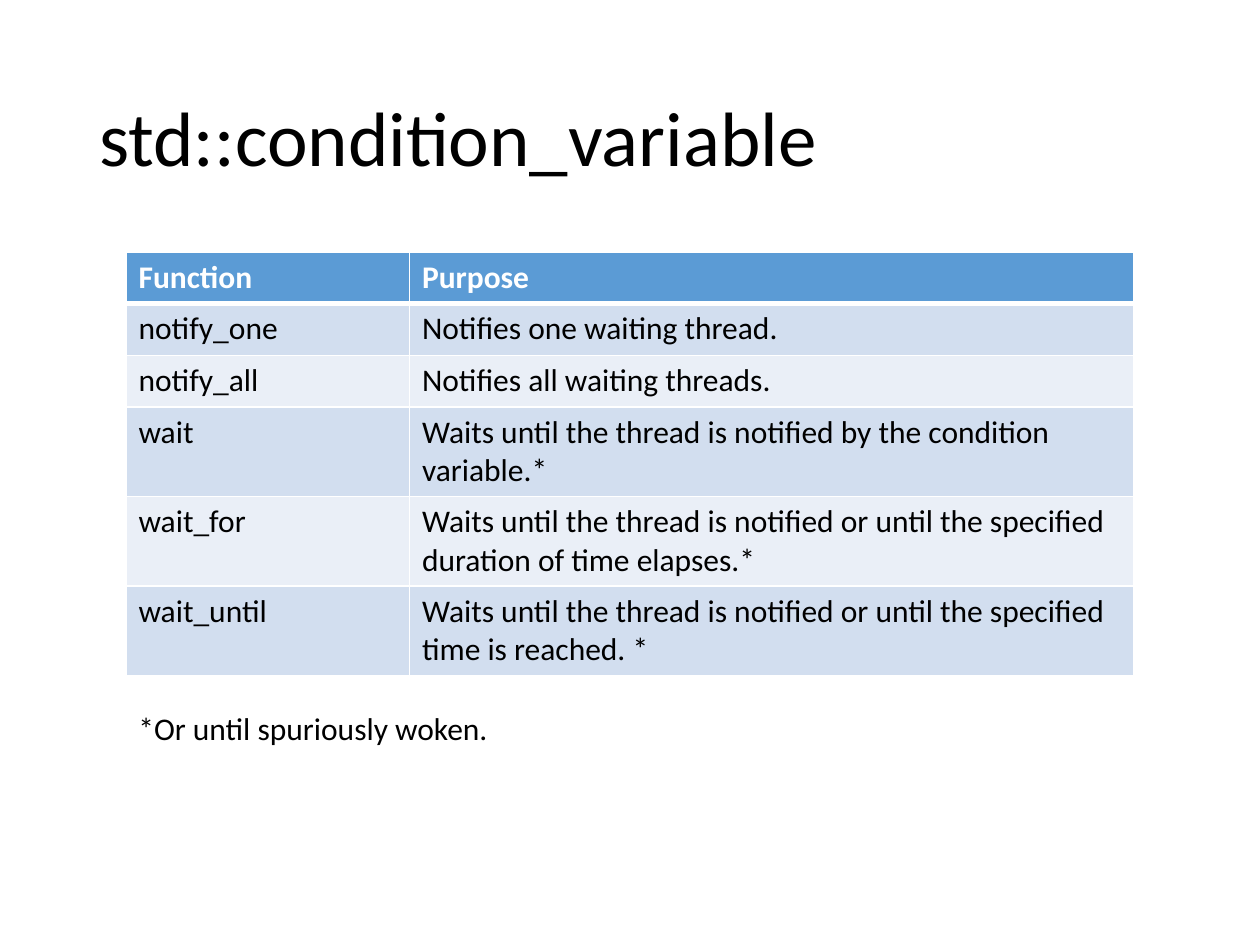
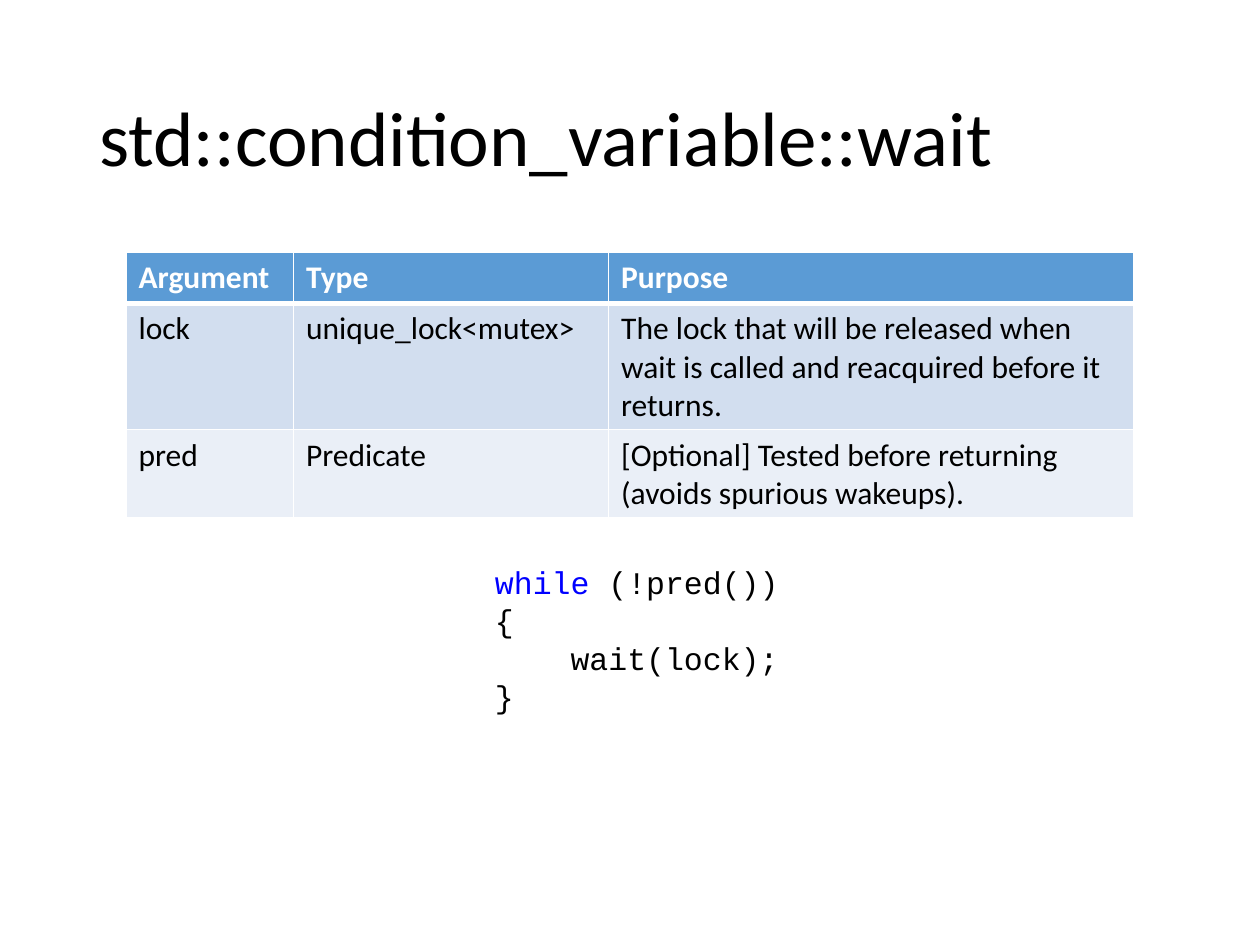
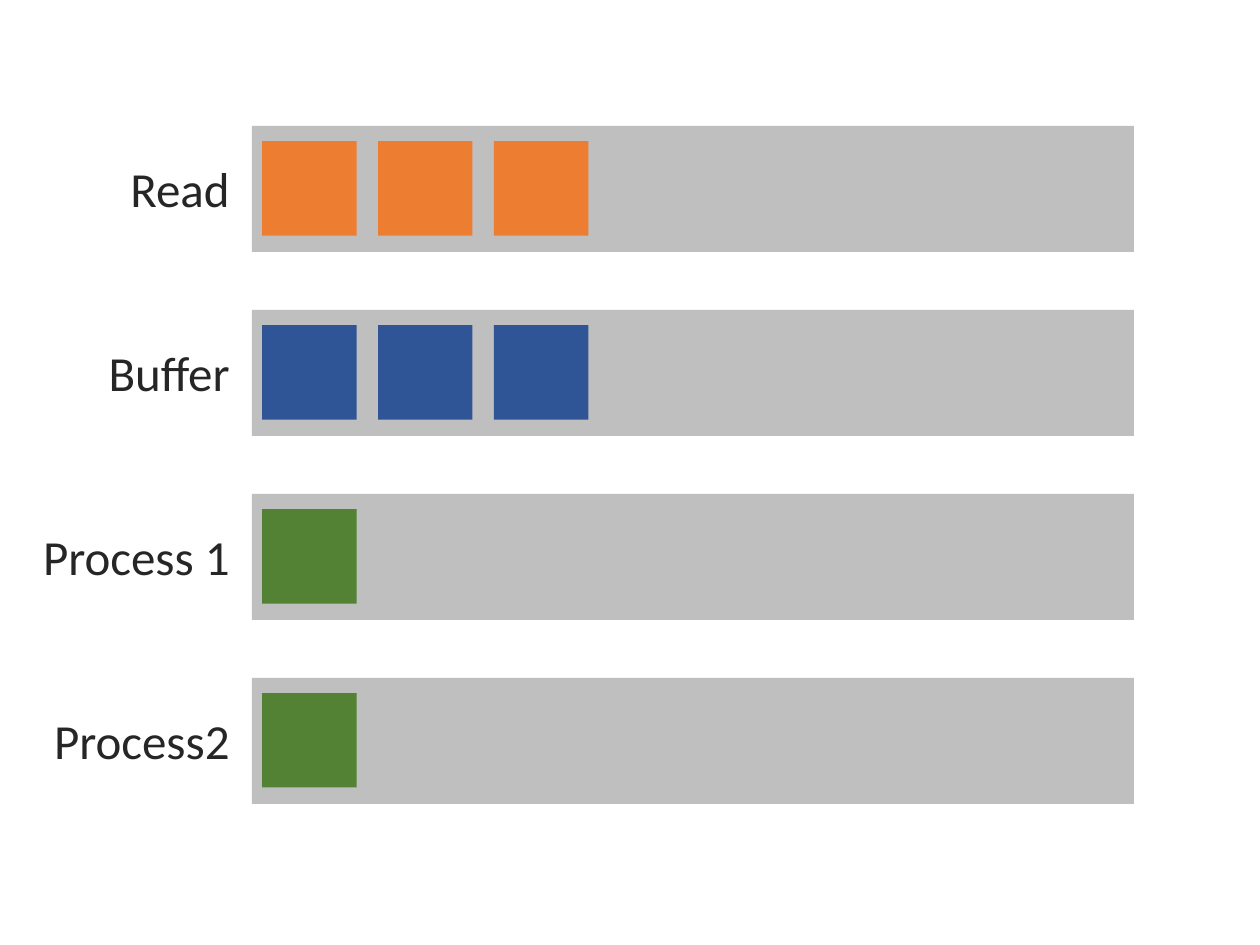
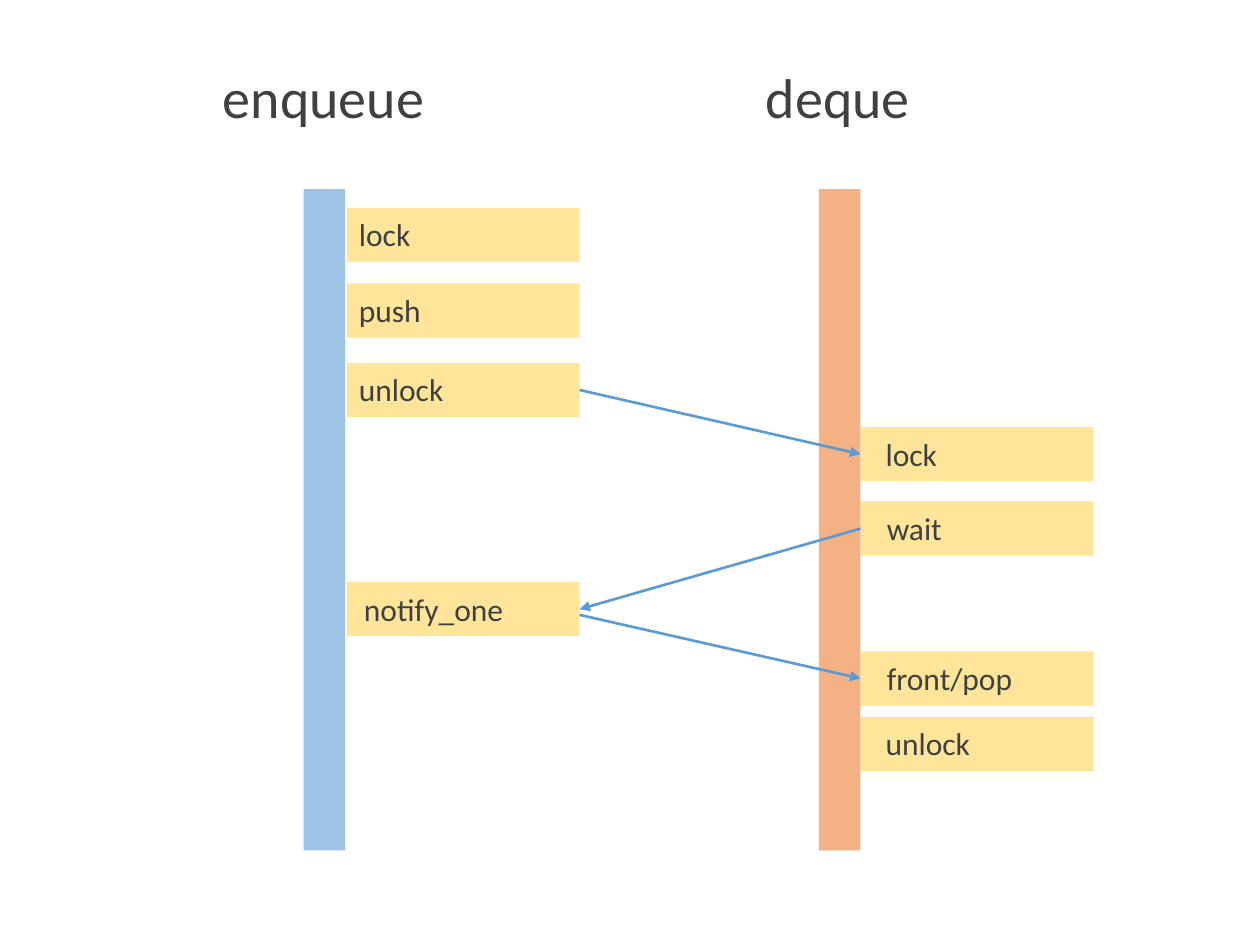
from pptx import Presentation
from pptx.dml.color import RGBColor
from pptx.enum.shapes import MSO_CONNECTOR, MSO_SHAPE
from pptx.enum.text import MSO_ANCHOR, MSO_AUTO_SIZE, PP_ALIGN
from pptx.oxml import parse_xml
from pptx.oxml.ns import nsdecls, qn
from pptx.util import Inches, Pt

BODY_FONT, CODE_FONT = "Calibri", "Courier New"
BLACK, WHITE = "000000", "FFFFFF"
BLUE = "5B9BD5"
ROW_FILLS = ("D2DEEF", "EAEFF7")
CODE_KEYWORD = "0000FF"
TRACK, TRACK_LABEL = "BFBFBF", "262626"
READ, BUFFER, PROCESS = "ED7D31", "2F5597", "548235"
STEP, STEP_LABEL = "FFC000", "404040"
ENQUEUE_LANE, DEQUE_LANE = "9DC3E6", "F4B183"

TOP, LEFT, BOTTOM, RIGHT = range(4)
ROW_HEIGHT = 0.41
STEP_WIDTH, STEP_HEIGHT = 1.85, 0.43


def color(hex_string):
    return RGBColor.from_string(hex_string)


def add_slide(presentation):
    return presentation.slides.add_slide(presentation.slide_layouts[6])


def write_text(frame, text, size=18, fill=BLACK, font=BODY_FONT, bold=False,
               align=PP_ALIGN.LEFT, line_spacing=None, keyword=None):
    """Write one paragraph per line; a leading keyword gets its own colour."""
    for index, line in enumerate(text.split("\n")):
        paragraph = frame.paragraphs[0] if index == 0 else frame.add_paragraph()
        paragraph.alignment = align
        if line_spacing:
            paragraph.line_spacing = line_spacing
        runs = [(line, fill)]
        if keyword and line.startswith(keyword):
            runs = [(keyword, CODE_KEYWORD), (line[len(keyword):], fill)]
        for words, run_color in runs:
            run = paragraph.add_run()
            run.text = words
            run.font.name, run.font.size, run.font.bold = font, Pt(size), bold
            run.font.color.rgb = color(run_color)


def add_text(slide, text, left, top, width, height, wrap=True,
             anchor=MSO_ANCHOR.TOP, auto_size=MSO_AUTO_SIZE.SHAPE_TO_FIT_TEXT,
             **text_format):
    box = slide.shapes.add_textbox(Inches(left), Inches(top), Inches(width), Inches(height))
    frame = box.text_frame
    frame.word_wrap = wrap
    frame.vertical_anchor = anchor
    frame.auto_size = auto_size
    write_text(frame, text, **text_format)


def add_title(slide, text):
    add_text(slide, text, 0.69, 0.4, 8.62, 1.45, anchor=MSO_ANCHOR.MIDDLE,
             auto_size=MSO_AUTO_SIZE.NONE, size=44, line_spacing=0.9)


def add_rectangle(slide, fill, left, top, width, height, opacity=None):
    shape = slide.shapes.add_shape(MSO_SHAPE.RECTANGLE, Inches(left), Inches(top),
                                   Inches(width), Inches(height))
    shape.shadow.inherit = False
    shape.fill.solid()
    shape.fill.fore_color.rgb = color(fill)
    shape.line.fill.background()
    if opacity is not None:
        fill_color = shape._element.spPr.find(qn("a:solidFill")).find(qn("a:srgbClr"))
        fill_color.append(parse_xml(f'<a:alpha {nsdecls("a")} val="{opacity * 1000}"/>'))
    return shape


def set_borders(cell, top=1, bottom=1):
    properties = cell._tc.get_or_add_tcPr()
    for side, width in (("L", 1), ("R", 1), ("T", top), ("B", bottom)):
        properties.append(parse_xml(
            f'<a:ln{side} {nsdecls("a")} w="{Pt(width)}"><a:solidFill>'
            f'<a:srgbClr val="{WHITE}"/></a:solidFill></a:ln{side}>'))


def add_table(slide, rows, column_widths, height):
    """Add a banded table whose rows grow with their text to the given height."""
    frame = slide.shapes.add_table(len(rows), len(column_widths), Inches(1), Inches(2),
                                   Inches(sum(column_widths)), Inches(height))
    table = frame.table
    for column, width in zip(table.columns, column_widths):
        column.width = Inches(width)
    for row_index, texts in enumerate(rows):
        table.rows[row_index].height = Inches(ROW_HEIGHT)
        header = row_index == 0
        for column_index, text in enumerate(texts):
            cell = table.cell(row_index, column_index)
            set_borders(cell, top=3 if row_index == 1 else 1, bottom=3 if header else 1)
            cell.fill.solid()
            cell.fill.fore_color.rgb = color(BLUE if header else ROW_FILLS[(row_index - 1) % 2])
            write_text(cell.text_frame, text, fill=WHITE if header else BLACK, bold=header)
    frame.height = Inches(height)


def add_arrow(slide, start, end, start_shape=None, end_shape=None):
    """Draw an arrow; each given shape is a (shape, side) pair to join."""
    connector = slide.shapes.add_connector(MSO_CONNECTOR.STRAIGHT,
                                           *(Inches(value) for value in start + end))
    if start_shape:
        connector.begin_connect(*start_shape)
    if end_shape:
        connector.end_connect(*end_shape)
    connector.line.color.rgb = color(BLUE)
    connector.line.width = Pt(1.5)
    connector.line._get_or_add_ln().append(
        parse_xml(f'<a:tailEnd {nsdecls("a")} type="triangle"/>'))
    connector._element.spPr.append(parse_xml(f'<a:effectLst {nsdecls("a")}/>'))


def add_track(slide, label, label_left, top, block_color, block_count):
    add_rectangle(slide, TRACK, 2, top, 7, 1)
    add_text(slide, label, label_left, top + 0.21, 1.92 - label_left, 0.57,
             size=28, fill=TRACK_LABEL, align=PP_ALIGN.RIGHT)
    for index in range(block_count):
        add_rectangle(slide, block_color, 2.08 + 0.92 * index, top + 0.12, 0.75, 0.75)


def add_step(slide, label, left, top, label_left, label_width):
    step = add_rectangle(slide, STEP, left, top, STEP_WIDTH, STEP_HEIGHT, opacity=40)
    add_text(slide, label, label_left, top + 0.01, label_width, 0.4,
             wrap=False, fill=STEP_LABEL)
    return step


def add_lane(slide, name, name_left, name_width, lane_color, lane_left):
    add_rectangle(slide, lane_color, lane_left, 1.5, 0.33, 5.25)
    add_text(slide, name, name_left, 0.45, name_width, 0.64,
             wrap=False, size=32, fill=STEP_LABEL)


def build_functions_slide(presentation):
    slide = add_slide(presentation)
    add_title(slide, "std::condition_variable")
    add_table(slide, [
        ("Function", "Purpose"),
        ("notify_one", "Notifies one waiting thread."),
        ("notify_all", "Notifies all waiting threads."),
        ("wait", "Waits until the thread is notified by the condition variable.*"),
        ("wait_for", "Waits until the thread is notified or until the specified "
                     "duration of time elapses.*"),
        ("wait_until", "Waits until the thread is notified or until the specified "
                       "time is reached. *"),
    ], (2.25, 5.75), 3.32)
    add_text(slide, "*Or until spuriously woken.", 1, 5.58, 8, 0.4)


def build_wait_slide(presentation):
    slide = add_slide(presentation)
    add_title(slide, "std::condition_variable::wait")
    add_table(slide, [
        ("Argument", "Type", "Purpose"),
        ("lock", "unique_lock<mutex>", "The lock that will be released when wait is "
                                       "called and reacquired before it returns."),
        ("pred", "Predicate", "[Optional] Tested before returning "
                              "(avoids spurious wakeups)."),
    ], (1.33, 2.5, 4.17), 2.11)
    add_text(slide, "while (!pred())\n{\n    wait(lock);\n}", 3.83, 4.42, 2.58, 1.31,
             font=CODE_FONT, keyword="while")


def build_pipeline_slide(presentation):
    slide = add_slide(presentation)
    tracks = [("Read", 0.5, READ, 3), ("Buffer", 0.5, BUFFER, 3),
              ("Process 1", 0.17, PROCESS, 1), ("Process2", 0.17, PROCESS, 1)]
    for index, (label, label_left, block_color, block_count) in enumerate(tracks):
        add_track(slide, label, label_left, 1 + 1.46 * index, block_color, block_count)


def build_queue_slide(presentation):
    slide = add_slide(presentation)
    enqueue_left, deque_left = 2.75, 6.83
    add_lane(slide, "enqueue", 1.67, 1.82, ENQUEUE_LANE, 2.41)
    add_lane(slide, "deque", 5.98, 1.36, DEQUE_LANE, 6.5)

    add_step(slide, "lock", enqueue_left, 1.65, 2.75, 0.61)
    add_step(slide, "push", enqueue_left, 2.25, 2.75, 0.7)
    enqueue_unlock = add_step(slide, "unlock", enqueue_left, 2.88, 2.75, 0.88)
    notify = add_step(slide, "notify_one", enqueue_left, 4.62, 2.79, 1.32)
    deque_lock = add_step(slide, "lock", deque_left, 3.39, 6.93, 0.61)
    wait = add_step(slide, "wait", deque_left, 3.98, 6.94, 0.64)
    front_pop = add_step(slide, "front/pop", deque_left, 5.17, 6.94, 1.21)
    add_step(slide, "unlock", deque_left, 5.69, 6.93, 0.88)

    add_arrow(slide, (4.6, 3.09), (6.83, 3.61), (enqueue_unlock, RIGHT), (deque_lock, LEFT))
    add_arrow(slide, (6.83, 4.19), (4.6, 4.84), (wait, LEFT), (notify, RIGHT))
    add_arrow(slide, (4.6, 4.88), (6.83, 5.4), end_shape=(front_pop, LEFT))


def main():
    presentation = Presentation()
    presentation.slide_width, presentation.slide_height = Inches(10), Inches(7.5)
    build_functions_slide(presentation)
    build_wait_slide(presentation)
    build_pipeline_slide(presentation)
    build_queue_slide(presentation)
    presentation.save("out.pptx")


if __name__ == "__main__":
    main()
